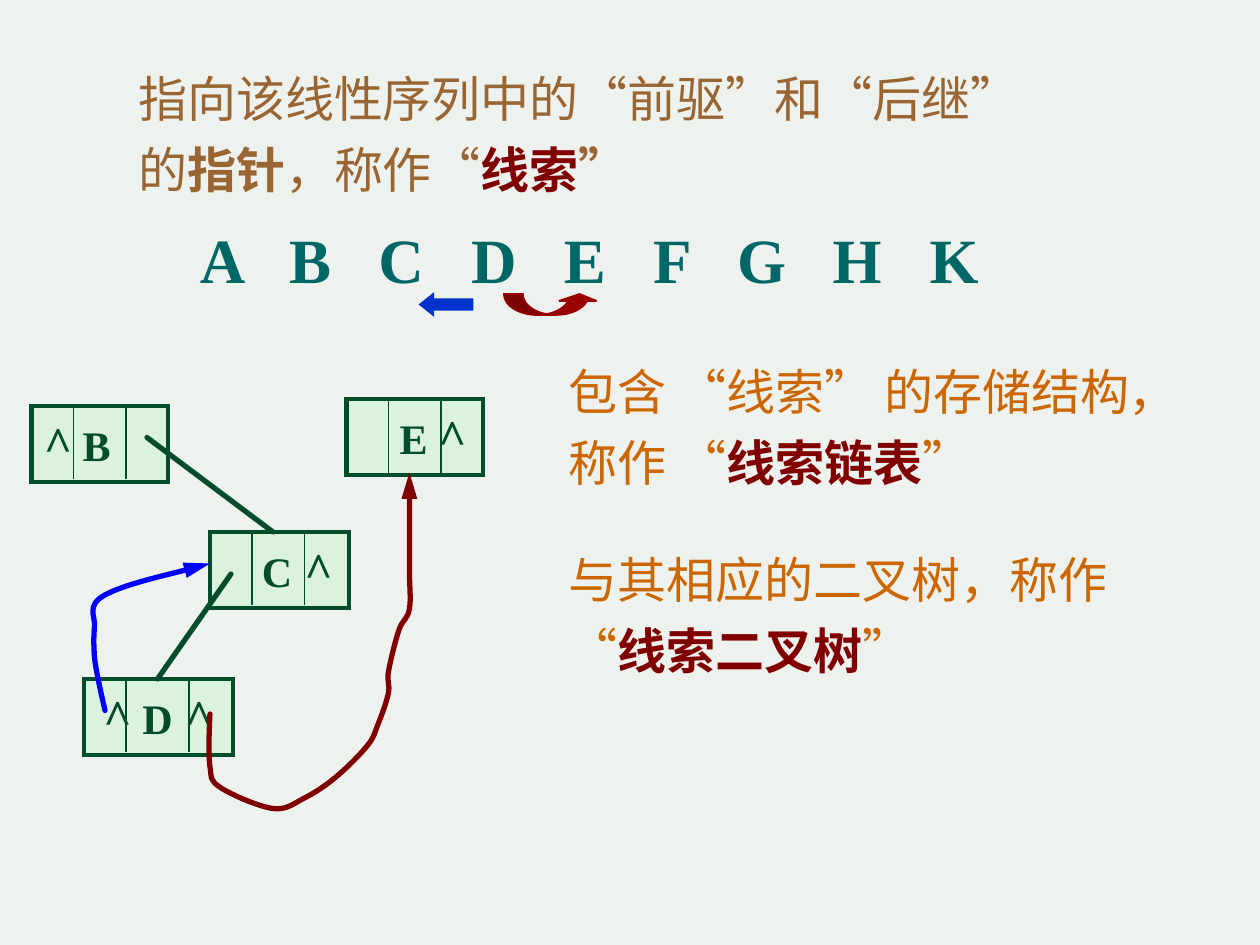
from lxml import etree
from pptx import Presentation
from pptx.dml.color import RGBColor
from pptx.enum.shapes import MSO_CONNECTOR, MSO_SHAPE
from pptx.enum.text import MSO_ANCHOR, PP_ALIGN
from pptx.oxml.ns import qn
from pptx.util import Pt

STRAIGHT = MSO_CONNECTOR.STRAIGHT
RECT, UP_ARROW, LEFT_ARROW = MSO_SHAPE.RECTANGLE, MSO_SHAPE.CURVED_UP_ARROW, MSO_SHAPE.LEFT_ARROW
TOP = MSO_ANCHOR.TOP
LEFT, CENTER = PP_ALIGN.LEFT, PP_ALIGN.CENTER

FONT = "Times New Roman"
GREEN, MINT, DARK_RED = "004C2B", "CAF2CE", "800000"
BROWN, ORANGE = "996633", "CC6600"
NODE_HEIGHT, DIVIDER_HEIGHT = 43.5, 42

# Bezier points: start, then two controls and an end for each piece
PREDECESSOR_THREAD = [
    (60, 406), (57.5, 395), (55, 384), (54, 376), (53.5, 368), (53.5, 364), (54, 358),
    (54.5, 352), (49, 346), (60, 340), (71, 334), (110, 325), (120, 322)]
SUCCESSOR_THREAD = [
    (120, 408), (119.5, 420), (119, 431), (120, 438), (121, 445), (120, 446), (126, 450),
    (132, 454), (148, 461), (156, 462), (164, 463), (168, 459), (174, 456),
    (180, 453), (186, 449), (192, 444), (198, 439), (206, 431), (210, 426),
    (214, 421), (214, 419), (216, 414), (218, 409), (221, 401), (222, 396),
    (223, 391), (221, 390), (222, 384), (223, 378), (226, 366), (228, 360),
    (230, 354), (233, 354), (234, 348), (235, 342), (234, 336), (234, 324),
    (234, 312), (234, 290), (234, 270)]


def rgb(color):
    return RGBColor.from_string(color)


def add_run(p, text, size, color, bold=False):
    r = p.add_run()
    r.text = text
    r.font.name, r.font.size, r.font.bold = FONT, Pt(size), bold
    r.font.color.rgb = rgb(color)
    r._r.get_or_add_rPr().set("lang", "zh-CN")


def set_indent(p, indent):
    p_pr = p._p.get_or_add_pPr()
    p_pr.set("marL", str(Pt(indent)))
    p_pr.set("indent", "0")


def set_line(line, color, weight):
    line.color.rgb = rgb(color)
    line.width = Pt(weight)
    return line._get_or_add_ln()


def add_text(s, x, y, w, h):
    tf = s.shapes.add_textbox(Pt(x), Pt(y), Pt(w), Pt(h)).text_frame
    tf.word_wrap = True
    return tf.paragraphs[0]


def add_definition(s, x, y, w, h, indent, runs):
    p = add_text(s, x, y, w, h)
    set_indent(p, indent)
    p.line_spacing = 1.2
    for text, color, bold in runs:
        add_run(p, text, 28, color, bold)


def add_sequence(s, x, y, w, h, letters, stops):
    p = add_text(s, x, y, w, h)
    tabs = etree.SubElement(p._p.get_or_add_pPr(), qn("a:tabLst"))
    for stop in stops:
        etree.SubElement(tabs, qn("a:tab"), pos=str(Pt(stop)), algn="l")
    add_run(p, "\t".join(letters), 36, "006666", True)


def add_shape(s, kind, x, y, w, h, fill, line, weight):
    sp = s.shapes.add_shape(kind, Pt(x), Pt(y), Pt(w), Pt(h))
    sp.shadow.inherit = False
    sp.fill.solid()
    sp.fill.fore_color.rgb = rgb(fill)
    ln = set_line(sp.line, line, weight)
    etree.SubElement(ln, qn("a:miter"), lim="800000")
    return sp


def add_block_arrow(s, kind, x, y, w, h, color, adjustments):
    sp = add_shape(s, kind, x, y, w, h, color, color, 1)
    for i, value in enumerate(adjustments):
        sp.adjustments[i] = value


def add_line(s, x1, y1, x2, y2, weight, cap="flat"):
    c = s.shapes.add_connector(STRAIGHT, Pt(x1), Pt(y1), Pt(x2), Pt(y2))
    set_line(c.line, GREEN, weight).set("cap", cap)
    etree.SubElement(c._element.spPr, qn("a:effectLst"))


def add_node(s, x, y, w, dividers, runs, align=LEFT, indent=0):
    sp = add_shape(s, RECT, x, y, w, NODE_HEIGHT, MINT, GREEN, 2.5)
    color = sp._element.spPr.find(qn("a:solidFill"))[0]
    etree.SubElement(color, qn("a:alpha"), val="50000")
    tf = sp.text_frame
    tf.word_wrap = True
    tf.vertical_anchor = TOP
    p = tf.paragraphs[0]
    p.alignment = align
    set_indent(p, indent)
    for text, size in runs:
        add_run(p, text, size, GREEN, True)
    for divider in dividers:
        add_line(s, divider, y, divider, y + DIVIDER_HEIGHT, 1)


def add_thread(s, points, color):
    # The outline is drawn in hundredths of a point
    start, *rest = [(round(x * 100), round(y * 100)) for x, y in points]
    builder = s.shapes.build_freeform(*start, scale=Pt(1) / 100)
    builder.add_line_segments(rest, close=False)
    sp = builder.convert_to_shape()
    # Every three straight segments become one Bezier piece
    segments = list(sp._element.iter(qn("a:lnTo")))
    for i in range(0, len(segments), 3):
        curve = etree.Element(qn("a:cubicBezTo"))
        segments[i].addprevious(curve)
        for segment in segments[i:i + 3]:
            curve.append(segment[0])
            segment.getparent().remove(segment)
    sp.shadow.inherit = False
    sp.fill.background()
    ln = set_line(sp.line, color, 3)
    ln.set("cap", "rnd")
    etree.SubElement(ln, qn("a:round"))
    etree.SubElement(ln, qn("a:tailEnd"), type="triangle", w="med", len="lg")


def main():
    prs = Presentation()
    prs.slide_width, prs.slide_height = Pt(720), Pt(540)
    s = prs.slides.add_slide(prs.slide_layouts[6])
    s.background.fill.solid()
    s.background.fill.fore_color.rgb = rgb("EEF2EE")

    # Definitions
    add_definition(s, 0, 29, 615, 85, 72, [
        ("指向该线性序列中的“前驱”和“后继” 的", BROWN, False), ("指针", BROWN, True),
        ("，称作“", BROWN, False), ("线索", DARK_RED, True), ("”", BROWN, True)])
    add_definition(s, 288, 304, 396, 88, 30, [
        ("与其相应的二叉树，称作 “", ORANGE, False),
        ("线索二叉树", DARK_RED, True), ("”", ORANGE, False)])
    add_definition(s, 246, 196.5, 460, 88, 72, [
        ("包含 “线索” 的存储结构，称作 “", ORANGE, False),
        ("线索链表", DARK_RED, True), ("”", ORANGE, False)])

    # Linear sequence with predecessor and successor arrows
    add_sequence(s, 107.2, 122.5, 462, 50, "ABCDEFGHK",
                 (51, 102, 155, 208, 259, 307, 361.5, 417))
    add_block_arrow(s, UP_ARROW, 288, 168, 54, 12, "990000", (0.9, 1.8, 0.33))
    add_block_arrow(s, LEFT_ARROW, 240, 168, 30, 12, "0033CC", (0.5, 0.63))

    # Tree nodes
    add_node(s, 48, 388, 85, (72, 108), [("^", 28), (" D", 24), (" ^", 28)], CENTER)
    add_node(s, 120, 304, 79.5, (144, 174), [("C", 24), (" ^", 28)], indent=22.5)
    add_node(s, 18, 232, 78, (42, 72), [("^", 28), (" B", 24)])
    add_node(s, 198, 228, 78, (222, 252), [("E ", 24), ("^", 28)], indent=23.3)

    # Child links and threads
    add_line(s, 84, 250, 156, 304, 3, "rnd")
    add_line(s, 132, 328, 90, 388, 3, "rnd")
    add_thread(s, PREDECESSOR_THREAD, "0000FF")
    add_thread(s, SUCCESSOR_THREAD, DARK_RED)

    prs.save("out.pptx")


if __name__ == "__main__":
    main()
